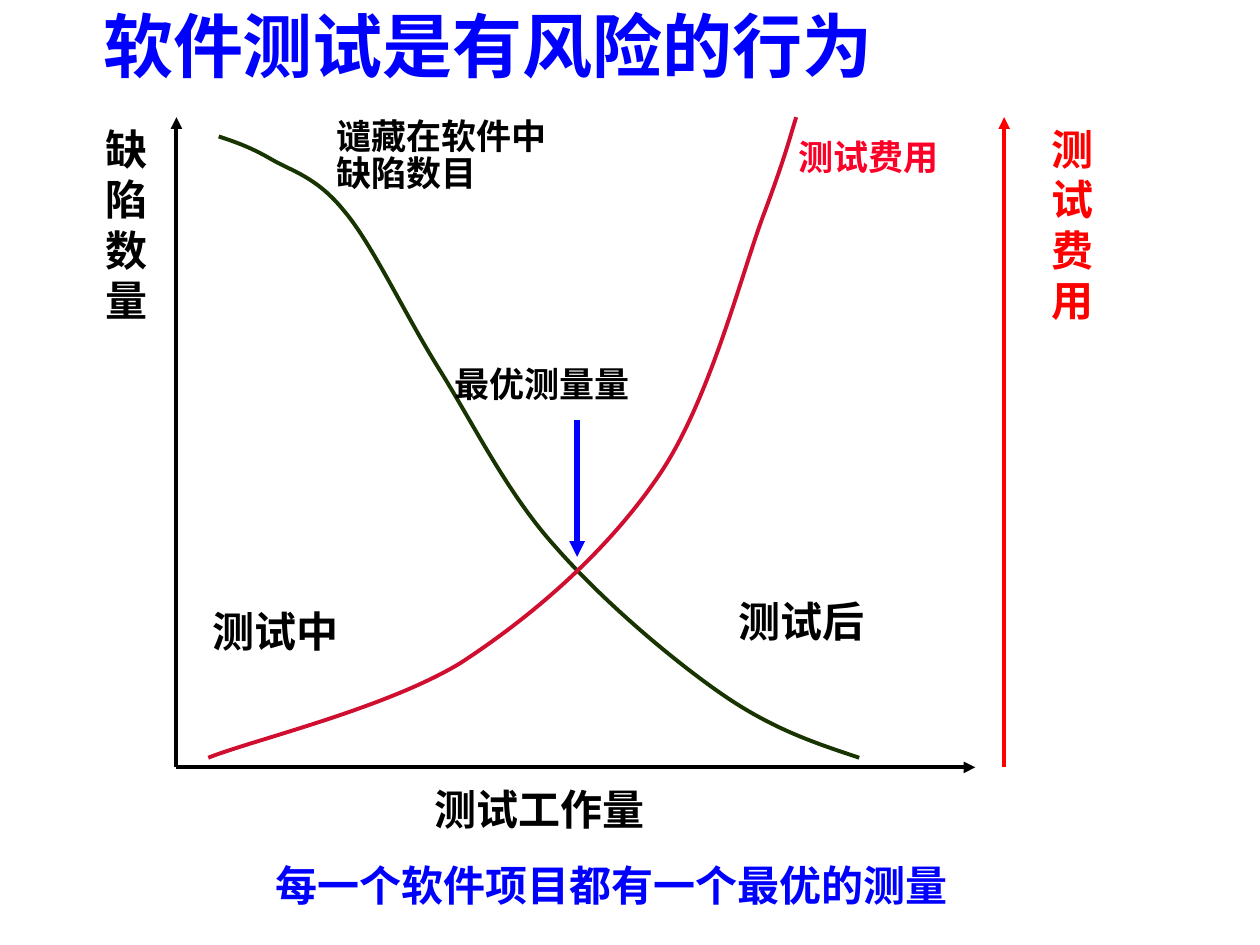
from lxml import etree
from pptx import Presentation
from pptx.dml.color import RGBColor
from pptx.enum.shapes import MSO_CONNECTOR
from pptx.enum.text import MSO_ANCHOR
from pptx.oxml.ns import qn
from pptx.util import Pt

FONT = "Noto Sans CJK SC"
BLACK = RGBColor(0x00, 0x00, 0x00)
BLUE = RGBColor(0x00, 0x00, 0xFF)
RED = RGBColor(0xFF, 0x00, 0x00)
GREEN = RGBColor(0x18, 0x34, 0x00)
CRIMSON = RGBColor(0xCF, 0x0E, 0x30)
PINK_RED = RGBColor(0xFC, 0x01, 0x28)

prs = Presentation()
prs.slide_width, prs.slide_height = Pt(720), Pt(540)
s = prs.slides.add_slide(prs.slide_layouts[6])


def add_text(lines, box, size, color, spacing=1.2, anchor=MSO_ANCHOR.TOP):
    """Add one paragraph per line; spacing is the line pitch in ems."""
    tf = s.shapes.add_textbox(*map(Pt, box)).text_frame
    tf.word_wrap = True
    tf.vertical_anchor = anchor
    for i, line in enumerate(lines):
        p = tf.add_paragraph() if i else tf.paragraphs[0]
        p.line_spacing = Pt(size * spacing)
        r = p.add_run()
        r.text = line
        r.font.name, r.font.size, r.font.bold = FONT, Pt(size), True
        r.font.color.rgb = color
        etree.SubElement(r.font._element, qn("a:ea"), typeface=FONT)


def add_arrow(start, end, color, width=2.25):
    c = s.shapes.add_connector(MSO_CONNECTOR.STRAIGHT, *map(Pt, start + end))
    c.line.color.rgb = color
    c.line.width = Pt(width)
    etree.SubElement(c.line._get_or_add_ln(), qn("a:tailEnd"), type="triangle")
    etree.SubElement(c._element.spPr, qn("a:effectLst"))


add_text(["软件测试是有风险的行为"], (51.84, 4.32, 684, 41.76), 40, BLUE,
         anchor=MSO_ANCHOR.MIDDLE)

# Axes
top, bottom, left, right = 67, 438.5, 100.8, 573.8
add_arrow((left, bottom), (left, top), BLACK)
add_arrow((left, bottom), (557.3, bottom), BLACK)

# Curves: a start point, then two control points and an end point per segment
defects = [(125.3, 78.5),
           (133.9, 81.4), (143.3, 83.5), (154.8, 90.7),
           (167, 97.9), (180.7, 100.8), (197.3, 121),
           (213.1, 140.4), (231.1, 178.6), (251.3, 211),
           (270.7, 242.6), (290.2, 281.5), (316.8, 312.5),
           (344.2, 343.4), (383.8, 376.6), (413.3, 396.7),
           (442.1, 416.9), (466.6, 424.8), (491, 432.7)]
cost = [(455, 67),
        (452.2, 76.3), (450, 86.4), (437, 121),
        (424.1, 154.8), (406.1, 227.5), (377.3, 270.7),
        (347.8, 313.9), (306, 351.4), (262.8, 378.7),
        (220.3, 405.4), (144, 423.4), (118.8, 432.7)]
for points, color in ((defects, GREEN), (cost, CRIMSON)):
    fb = s.shapes.build_freeform(*points[0], scale=Pt(1))
    fb.add_line_segments(points[1:], close=False)
    sp = fb.convert_to_shape()
    sp.shadow.inherit = False
    sp.fill.background()
    sp.line.color.rgb = color
    sp.line.width = Pt(2.25)
    # Turn each three straight steps into one Bezier segment
    steps = list(sp._element.iter(qn("a:lnTo")))
    outline = steps[0].getparent()
    for i in range(0, len(steps), 3):
        bezier = etree.SubElement(outline, qn("a:cubicBezTo"))
        for step in steps[i:i + 3]:
            bezier.append(step[0])
            outline.remove(step)

# Labels
add_text("缺陷数量", (53.3, top, 38.9, 123.8), 24, BLACK)
add_text(["谴藏在软件中", "缺陷数目"], (185, 64.1, 135.4, 50.4), 20, BLACK, 1.08)
add_text(["测试费用"], (449.3, 76.3, 126.7, 37.4), 20, PINK_RED, 1.08)
add_text(["测试中"], (114.5, 342.7, 112.3, 45.4), 24, BLACK)
add_text(["测试后"], (414.7, 337, 129.6, 36), 24, BLACK)
add_text(["测试工作量"], (241.2, 444.2, 214.6, 45.4), 24, BLACK)
add_text(["每一个软件项目都有一个最优的测量"], (150.5, 487.4, 403.9, 36), 24, BLUE)
add_text(["最优测量量"], (252.7, 203.8, 154.8, 41), 20, BLACK)

# Optimum marker and cost axis
add_arrow((329.8, 239.8), (329.8, 318.2), BLUE, 3)
add_arrow((right, bottom), (right, top), RED)
add_text("测试费用", (594, top, 38.9, 123.8), 24, RED)

prs.save("out.pptx")
